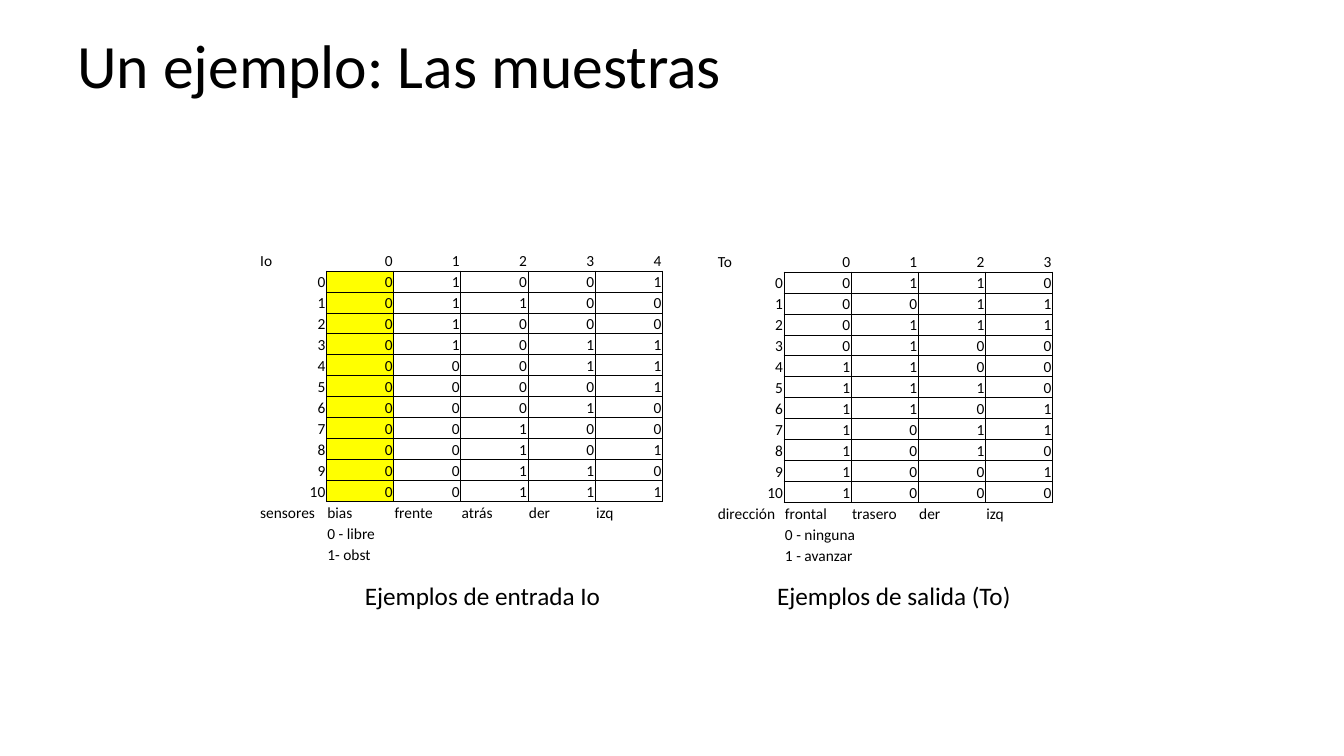
from lxml.etree import SubElement
from pptx import Presentation
from pptx.dml.color import RGBColor
from pptx.enum.text import MSO_ANCHOR, PP_ALIGN
from pptx.oxml.ns import qn
from pptx.util import Inches, Pt

deck = Presentation()
deck.slide_width, deck.slide_height = Inches(13.33), Inches(7.5)
slide = deck.slides.add_slide(deck.slide_layouts[6])


def color(code):
    return RGBColor.from_string(code)


def write(frame, text, size=11, align=PP_ALIGN.LEFT, spacing=1.0):
    line = frame.paragraphs[0]
    line.alignment = align
    line.line_spacing = spacing
    if text:
        run = line.add_run()
        run.text = text
        run.font.name = "Calibri"
        run.font.size = Pt(size)
        run.font.color.rgb = color("000000")
    else:
        SubElement(line._p, qn("a:endParaRPr"), sz=str(size * 100))


labels = [
    ("Un ejemplo: Las muestras", 0.67, 0.3, 12, 1.25, 44, 0.9),
    ("Ejemplos de entrada Io", 3.52, 5.71, 2.76, 0.4, 18, 1.0),
    ("Ejemplos de salida (To)", 7.61, 5.71, 2.83, 0.4, 18, 1.0),
]
for text, left, top, width, height, size, spacing in labels:
    box = slide.shapes.add_textbox(Inches(left), Inches(top), Inches(width), Inches(height))
    box.text_frame.word_wrap = True
    write(box.text_frame, text, size=size, spacing=spacing)

tables = [
    ("Io", 2.57, 2.48, 4,
     "01001 01100 01000 01011 00011 00001 00010 00100 00101 00110 00111",
     ["sensores", "bias", "frente", "atrás", "der", "izq"],
     ["0 - libre", "1- obst"], True),
    ("To", 7.11, 2.49, 3.33,
     "0110 0011 0111 0100 1100 1110 1101 1011 1010 1001 1000",
     ["dirección", "frontal", "trasero", "der", "izq"],
     ["0 - ninguna", "1 - avanzar"], False),
]
sides = [("a:lnL", 0, -1), ("a:lnR", 0, 1), ("a:lnT", -1, 0), ("a:lnB", 1, 0)]

for name, left, top, width, bits, names, keys, bias in tables:
    samples = bits.split()
    count, cols = len(samples), len(names)
    rows = [[name] + [str(i) for i in range(cols - 1)]]
    rows += [[str(i)] + list(sample) for i, sample in enumerate(samples)]
    rows += [names] + [["", key] + [""] * (cols - 2) for key in keys]
    grid = {(r, c) for r in range(1, count + 1) for c in range(1, cols)}

    table = slide.shapes.add_table(len(rows), cols, Inches(left), Inches(top),
                                   Inches(width), Inches(3.12)).table
    table.first_row = table.horz_banding = False
    for col in table.columns:
        col.width = Inches(width / cols)
    for row in table.rows:
        row.height = Inches(3.12 / len(rows))

    for r, row in enumerate(rows):
        for c, text in enumerate(row):
            cell = table.cell(r, c)
            cell.margin_left = cell.margin_right = cell.margin_top = Inches(0.01)
            cell.margin_bottom = 0
            cell.vertical_anchor = MSO_ANCHOR.BOTTOM
            write(cell.text_frame, text,
                  align=PP_ALIGN.RIGHT if text.isdigit() else PP_ALIGN.LEFT)
            for tag, down, right in sides:
                edge = SubElement(cell._tc.get_or_add_tcPr(), qn(tag), w=str(Pt(0.5)))
                if (r, c) in grid or (r + down, c + right) in grid:
                    fill = SubElement(edge, qn("a:solidFill"))
                    SubElement(fill, qn("a:srgbClr"), val="000000")
                else:
                    SubElement(edge, qn("a:noFill"))
            if bias and c == 1 and (r, c) in grid:
                cell.fill.solid()
                cell.fill.fore_color.rgb = color("FFFF00")
            else:
                cell.fill.background()
    if not bias:
        for r in range(count + 2, len(rows)):
            table.cell(r, 1).merge(table.cell(r, 2))

deck.save("out.pptx")
